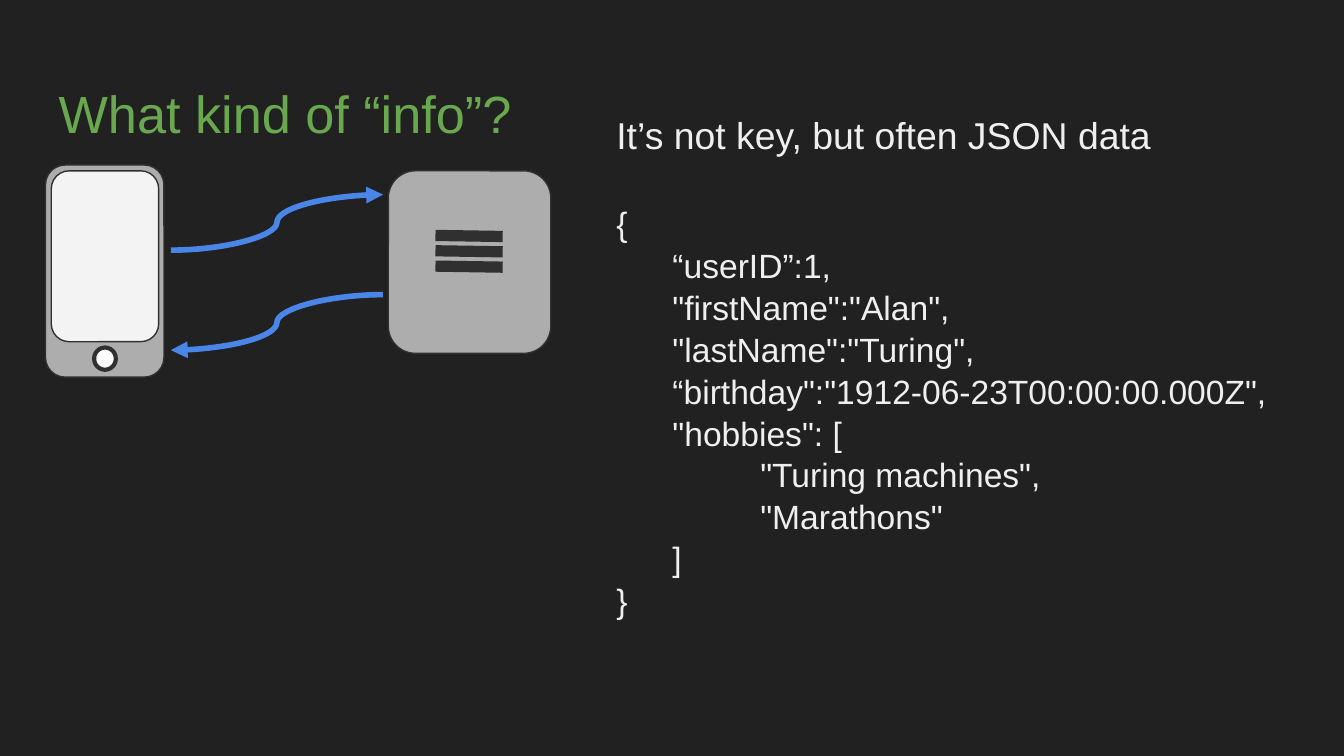
from lxml import etree
from pptx import Presentation
from pptx.dml.color import RGBColor
from pptx.enum.shapes import MSO_CONNECTOR, MSO_SHAPE
from pptx.enum.text import MSO_ANCHOR, MSO_AUTO_SIZE, PP_ALIGN
from pptx.oxml.ns import qn
from pptx.util import Cm, Pt

ROUNDED = MSO_SHAPE.ROUNDED_RECTANGLE
OVAL = MSO_SHAPE.OVAL
STRAIGHT = MSO_CONNECTOR.STRAIGHT
CURVE = MSO_CONNECTOR.CURVE
TOP = MSO_ANCHOR.TOP
LEFT = PP_ALIGN.LEFT
NO_AUTOFIT = MSO_AUTO_SIZE.NONE

FONT = "Arial"
TITLE_ONLY = 5
COLORS = {
    "background": "212121",
    "title": "6AA84F",
    "text": "EFEFEF",
    "device": "ADADAD",
    "screen": "F3F3F3",
    "button": "FFFFFF",
    "outline": "303030",
    "arrow": "4A86E8",
}
INDENTS = [0, 1.06, 2.72]
JSON_LINES = [
    (0, "{"),
    (1, "“userID”:1,"),
    (1, '"firstName":"Alan",'),
    (1, '"lastName":"Turing",'),
    (1, '“birthday":"1912-06-23T00:00:00.000Z",'),
    (1, '"hobbies": ['),
    (2, '"Turing machines",'),
    (2, '"Marathons"'),
    (1, "]"),
    (0, "}"),
]


def rgb(name):
    return RGBColor.from_string(COLORS[name])


def prepare_frame(frame):
    frame.word_wrap = True
    frame.auto_size = NO_AUTOFIT
    frame.vertical_anchor = TOP
    frame.margin_left = frame.margin_right = Cm(0.25)
    frame.margin_top = frame.margin_bottom = Cm(0.25)


def write(paragraph, text, size=18, color="text", indent=0, before=0):
    paragraph.alignment = LEFT
    paragraph.line_spacing = 1.04
    paragraph.space_before = Pt(before)
    properties = paragraph._p.get_or_add_pPr()
    properties.set("marL", str(Cm(indent)))
    properties.set("indent", "0")
    run = paragraph.add_run()
    run.text = text
    run.font.name = FONT
    run.font.size = Pt(size)
    run.font.color.rgb = rgb(color)


def add_part(slide, preset, left, top, width, height, fill, weight=0.75):
    part = slide.shapes.add_shape(preset, Cm(left), Cm(top), Cm(width), Cm(height))
    part.shadow.inherit = False
    part.fill.solid()
    part.fill.fore_color.rgb = rgb(fill)
    part.line.color.rgb = rgb("outline")
    part.line.width = Pt(weight)


def add_line(slide, kind, start, end, color, weight, arrow=False):
    line = slide.shapes.add_connector(kind, *map(Cm, start + end))
    line.line.color.rgb = rgb(color)
    line.line.width = Pt(weight)
    if arrow:
        outline = line.line._get_or_add_ln()
        etree.SubElement(outline, qn("a:tailEnd"), type="triangle")
    etree.SubElement(line._element.spPr, qn("a:effectLst"))


def add_title(slide, text):
    title = slide.shapes.title
    title.left, title.top, title.width, title.height = map(Cm, (0.86, 1.24, 23.67, 1.6))
    prepare_frame(title.text_frame)
    write(title.text_frame.paragraphs[0], text, size=28, color="title")


def add_phone(slide):
    add_part(slide, ROUNDED, 0.86, 3.12, 2.24, 4.01, "device")
    add_part(slide, ROUNDED, 0.97, 3.23, 2.03, 3.23, "screen")
    add_part(slide, OVAL, 1.78, 6.57, 0.41, 0.42, "button", weight=2.25)


def add_server(slide):
    add_part(slide, ROUNDED, 7.34, 3.23, 3.07, 3.45, "device")
    for row in range(3):
        y = 4.45 + row * 0.29
        add_line(slide, STRAIGHT, (8.23, y), (9.5, y + 0.02), "outline", 6)


def add_json_text(slide):
    box = slide.shapes.add_textbox(Cm(11.4), Cm(1.83), Cm(13.64), Cm(10.62))
    frame = box.text_frame
    prepare_frame(frame)
    write(frame.paragraphs[0], "It’s not key, but often JSON data", size=20)
    for number, (level, text) in enumerate(JSON_LINES):
        write(frame.add_paragraph(), text, indent=INDENTS[level],
              before=24 if number == 0 else 0)


def main():
    presentation = Presentation()
    presentation.slide_width = Cm(25.4)
    presentation.slide_height = Cm(14.29)
    slide = presentation.slides.add_slide(presentation.slide_layouts[TITLE_ONLY])
    slide.background.fill.solid()
    slide.background.fill.fore_color.rgb = rgb("background")

    add_title(slide, "What kind of “info”?")
    add_phone(slide)
    add_server(slide)
    add_line(slide, CURVE, (3.23, 4.73), (7.24, 3.68), "arrow", 3, arrow=True)
    add_line(slide, CURVE, (7.24, 5.57), (3.23, 6.62), "arrow", 3, arrow=True)
    add_json_text(slide)
    presentation.save("out.pptx")


if __name__ == "__main__":
    main()
